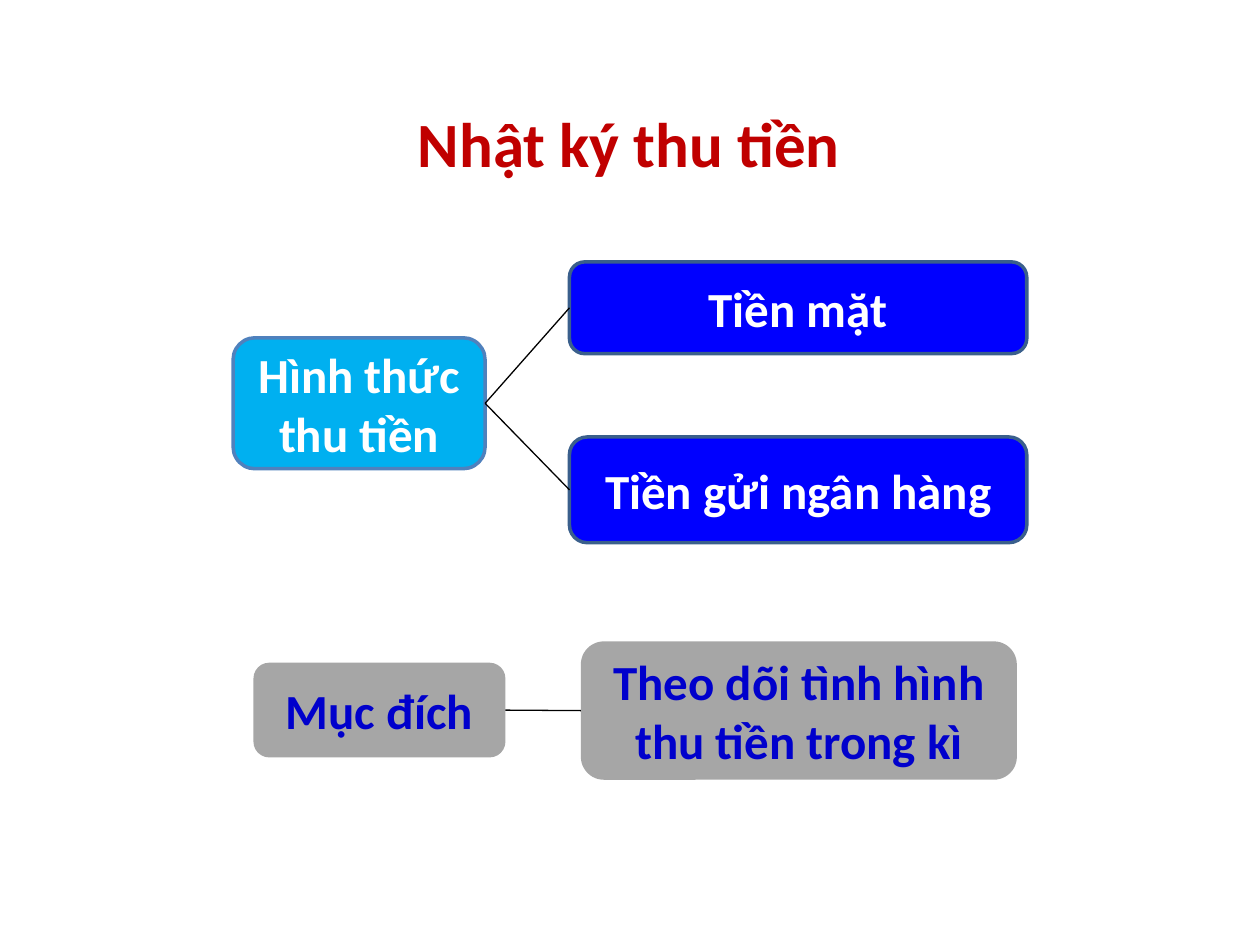
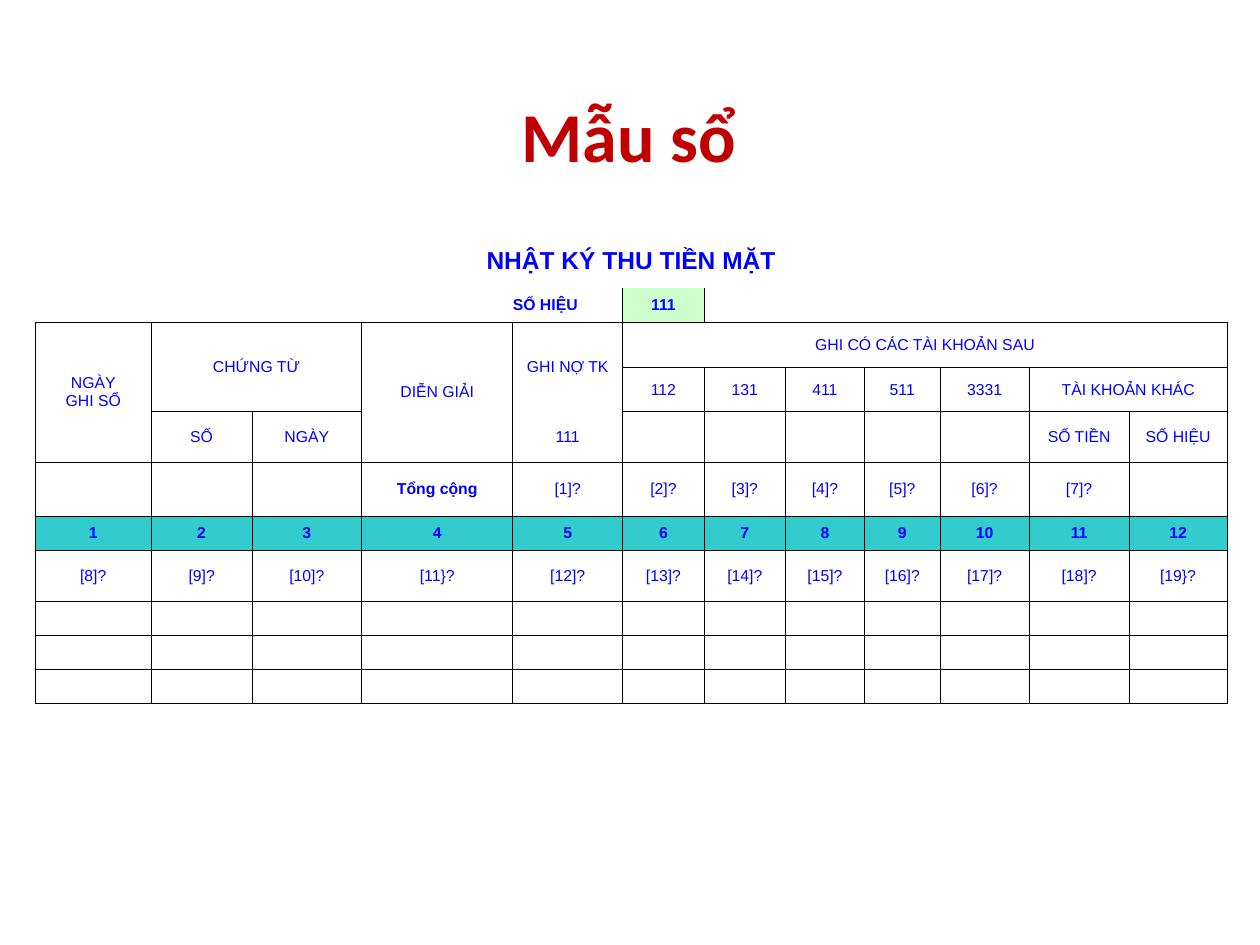
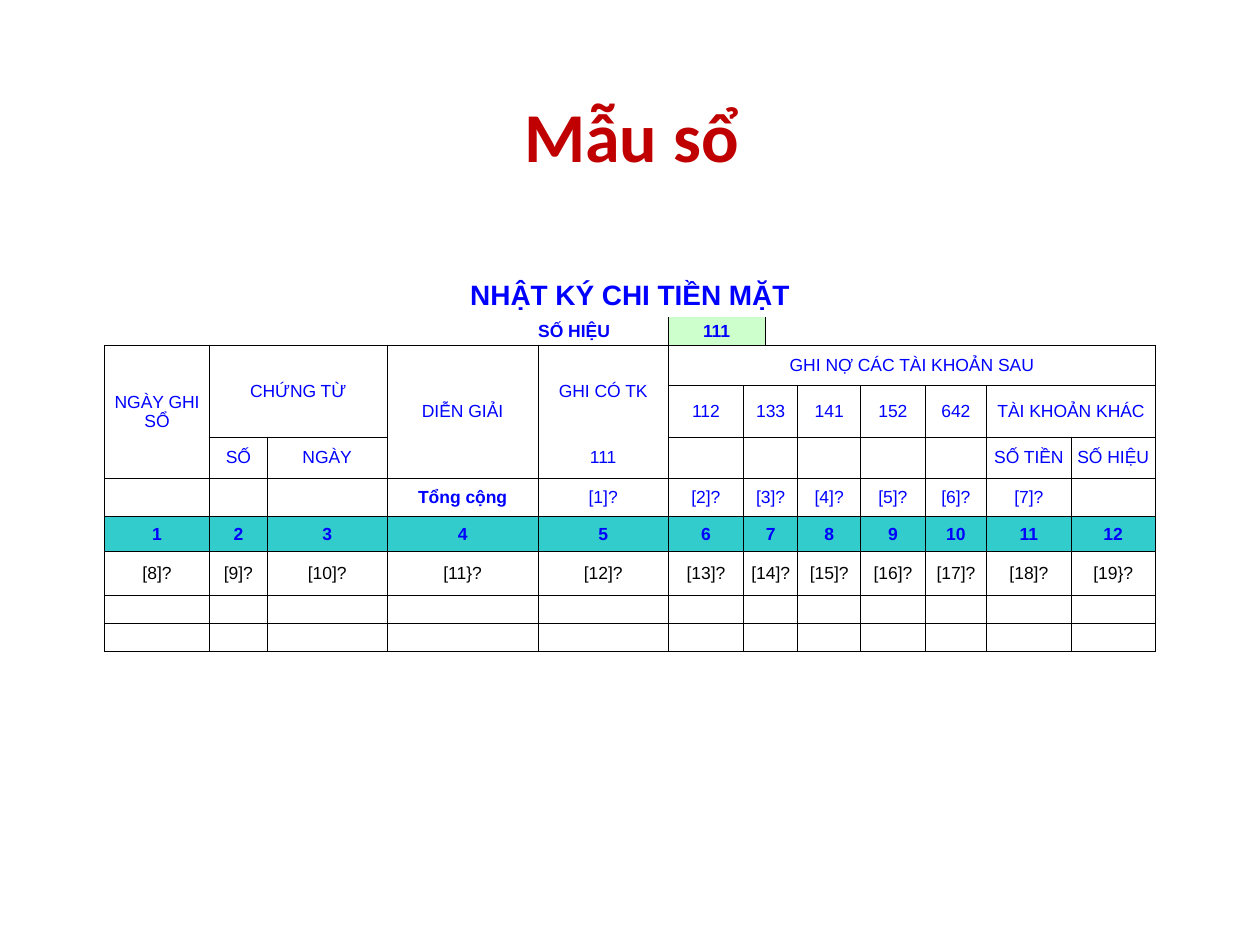
"""Build three slides about cash receipt and payment journals."""
from dataclasses import dataclass
from itertools import accumulate

from lxml import etree
from pptx import Presentation
from pptx.dml.color import RGBColor
from pptx.enum.shapes import MSO_CONNECTOR, MSO_SHAPE
from pptx.enum.text import MSO_ANCHOR, MSO_AUTO_SIZE, PP_ALIGN
from pptx.oxml.ns import qn
from pptx.util import Cm, Pt

ROUND = MSO_SHAPE.ROUNDED_RECTANGLE
STRAIGHT = MSO_CONNECTOR.STRAIGHT
MIDDLE = MSO_ANCHOR.MIDDLE
FIXED = MSO_AUTO_SIZE.NONE
CENTER, LEFT = PP_ALIGN.CENTER, PP_ALIGN.LEFT
LEFT_SITE, RIGHT_SITE = 1, 3


@dataclass(frozen=True)
class Theme:
    head: str = "Calibri"
    body: str = "Arial"
    red: str = "C00000"
    blue: str = "0000FF"
    navy: str = "0000CC"
    steel: str = "3A5F8C"
    sky: str = "00B0F0"
    edge: str = "4F81BD"
    gray: str = "A6A6A6"
    green: str = "CCFFCC"
    teal: str = "33CCCC"
    black: str = "000000"
    white: str = "FFFFFF"
    node: int = 28
    rule: float = 0.75
    frame: float = 2
    grid: float = 0.5


T = Theme()

NODES = {
    "form": ("Hình thức thu tiền", (4.7, 6.81, 5.08, 2.64), T.sky, T.edge, T.white),
    "cash": ("Tiền mặt", (11.48, 5.28, 9.22, 1.85), T.blue, T.steel, T.white),
    "bank": ("Tiền gửi ngân hàng", (11.48, 8.81, 9.22, 2.13), T.blue, T.steel, T.white),
    "aim": ("Mục đích", (5.11, 13.36, 5.08, 1.91), T.gray, None, T.navy),
    "goal": ("Theo dõi tình hình thu tiền trong kì", (11.71, 12.93, 8.79, 2.79),
             T.gray, None, T.navy),
}
LINKS = [("form", "cash"), ("form", "bank"), ("aim", "goal")]

BOOKS = [
    dict(
        name="NHẬT KÝ THU TIỀN MẶT", day="NGÀY\nGHI SỔ", own="GHI NỢ TK",
        side="GHI CÓ CÁC TÀI KHOẢN SAU", codes=["112", "131", "411", "511", "3331"],
        at=(0.71, 4.72), sizes=(14, 9), ask=T.blue, head=2.69, pairs=[],
        cols=[(2.34,), (2.03,), (2.21,), (3.05,), (2.21,), (1.65,),
              (1.63,), (1.6,), (1.52,), (1.8,), (2.01,), (1.98,)],
        rows=[1.09, 0.69, 0.91, 0.89, 1.02, 1.09, 0.69, 1.02, 0.69, 0.69, 0.69],
    ),
    dict(
        name="NHẬT KÝ CHI TIỀN MẶT", day="NGÀY GHI SỔ", own="GHI CÓ TK",
        side="GHI NỢ CÁC TÀI KHOẢN SAU", codes=["112", "133", "141", "152", "642"],
        at=(2.11, 5.51), sizes=(16, 10), ask=T.black, head=2.74, pairs=[5, 7, 11],
        cols=[(2.11,), (1.17,), (2.41,), (3.05,), (2.62,), (1.52,),
              (0.43, 0.66), (0.3, 0.97), (0.97, 0.33), (1.24,), (1.7,), (1.7,)],
        rows=[0.89, 0.56, 0.81, 1.04, 0.84, 0.76, 0.71, 0.89, 0.56, 0.56],
    ),
]
TOTALS = "[1]? [2]? [3]? [4]? [5]? [6]? [7]?".split()
ASKS = "[8]? [9]? [10]? [11}? [12]? [13]? [14]? [15]? [16]? [17]? [18]? [19}?".split()
SPANS = [(0, 0, 1, 12), (2, 0, 3, 1), (2, 1, 2, 2), (2, 3, 3, 1),
         (2, 4, 2, 1), (2, 5, 1, 7), (3, 10, 1, 2)]
TOP, CODE, HEAD, SUM, INDEX, ASK = 0, 1, 2, 5, 6, 7
OWN, FIRST = 4, 5


def write(frame, text, size, color, font=T.head, bold=True, align=CENTER, pitch=None):
    for num, line in enumerate(text.split("\n")):
        para = frame.add_paragraph() if num else frame.paragraphs[0]
        para.alignment = align
        para.line_spacing = pitch
        if not line:
            etree.SubElement(para._p, qn("a:endParaRPr"), sz=str(size * 100))
            continue
        run = para.add_run()
        run.text = line
        run.font.size, run.font.bold, run.font.name = Pt(size), bold, font
        run.font.color.rgb = RGBColor.from_string(color)


def paint(fill, color):
    if color:
        fill.solid()
        fill.fore_color.rgb = RGBColor.from_string(color)
    else:
        fill.background()


def start(deck, text, size, left, top):
    page = deck.slides.add_slide(deck.slide_layouts[5])
    head = page.shapes.title
    head.left, head.top, head.width, head.height = map(Cm, (left, top, 19.98, 2.49))
    frame = head.text_frame
    frame.auto_size, frame.vertical_anchor, frame.word_wrap = FIXED, MIDDLE, True
    frame.margin_left = frame.margin_right = Cm(0.1)
    frame.margin_top = frame.margin_bottom = Cm(0.1)
    write(frame, text, size, T.red, pitch=0.9)
    return page


def add_node(page, text, box, fill, edge, ink):
    node = page.shapes.add_shape(ROUND, *map(Cm, box))
    node.shadow.inherit = False
    paint(node.fill, fill)
    paint(node.line.fill, edge)
    if edge:
        node.line.width = Pt(T.frame)
    node.text_frame.word_wrap = True
    node.text_frame.vertical_anchor = MIDDLE
    write(node.text_frame, text, T.node, ink)
    return node


def link(page, tail, head):
    line = page.shapes.add_connector(STRAIGHT, 0, 0, 0, 0)
    line.begin_connect(tail, RIGHT_SITE)
    line.end_connect(head, LEFT_SITE)
    paint(line.line.fill, T.black)
    line.line.width = Pt(T.rule)
    etree.SubElement(line._element.spPr, qn("a:effectLst"))


def edge_cell(cell, sides):
    props = cell._tc.get_or_add_tcPr()
    for side in "LRTB":
        line = etree.SubElement(props, qn("a:ln" + side), w=str(Pt(T.grid)))
        if side in sides:
            fill = etree.SubElement(line, qn("a:solidFill"))
            etree.SubElement(fill, qn("a:srgbClr"), val=T.black)
        else:
            etree.SubElement(line, qn("a:noFill"))


def pick_sides(row, col, last):
    if row == TOP:
        return ""
    if row == CODE:
        left = "L" if FIRST <= col <= last + 1 else ""
        right = "R" if OWN <= col <= last else ""
        return "B" + left + right
    if col == OWN and row in (HEAD, HEAD + 1, HEAD + 2):
        return {HEAD: "LRT", HEAD + 1: "LR", HEAD + 2: "LRB"}[row]
    return "LRTB"


def fill_rows(book):
    rows = [
        [book["name"]],
        [""] * 4 + ["SỐ HIỆU", "111"],
        [book["day"], "CHỨNG TỪ", "", "DIỄN GIẢI", book["own"], book["side"]],
        [""] * 5 + book["codes"] + ["TÀI KHOẢN KHÁC"],
        ["", "SỐ", "NGÀY", "", "111"] + [""] * 5 + ["SỐ TIỀN", "SỐ HIỆU"],
        [""] * 3 + ["Tổng cộng"] + TOTALS,
        [str(num) for num in range(1, 13)],
        ASKS,
    ]
    return rows + [[]] * (len(book["rows"]) - len(rows))


def add_book(page, book):
    cols = [wide for group in book["cols"] for wide in group]
    marks = list(accumulate(map(len, book["cols"]), initial=0))
    table = page.shapes.add_table(
        len(book["rows"]), len(cols), *map(Cm, book["at"]),
        Cm(sum(cols)), Cm(sum(book["rows"]))).table
    table.first_row = table.horz_banding = False
    for part, wide in zip(table.columns, cols):
        part.width = Cm(wide)
    for part, high in zip(table.rows, book["rows"]):
        part.height = Cm(high)

    for row, col, down, across in SPANS:
        end = table.cell(row + down - 1, marks[col + across] - 1)
        table.cell(row, marks[col]).merge(end)
    for col in book["pairs"]:
        table.cell(CODE, col).merge(table.cell(CODE, col + 1))
    for col, group in enumerate(book["cols"]):
        if len(group) > 1:
            for row in range(HEAD + 1, len(book["rows"])):
                table.cell(row, marks[col]).merge(table.cell(row, marks[col + 1] - 1))

    last = FIRST + (FIRST in book["pairs"])
    big, small = book["sizes"]
    for row, words in enumerate(fill_rows(book)):
        texts = dict(zip(marks, words))
        for col in range(len(cols)):
            cell = table.cell(row, col)
            cell.margin_left = cell.margin_right = 0
            cell.margin_top = cell.margin_bottom = 0
            cell.vertical_anchor = MIDDLE
            edge_cell(cell, pick_sides(row, col, last))
            mark = row == CODE and FIRST <= col <= last
            paint(cell.fill, T.teal if row == INDEX else T.green if mark else None)
            write(cell.text_frame, texts.get(col, ""),
                  big if row == TOP else small,
                  book["ask"] if row == ASK else T.blue, font=T.body,
                  bold=row in (TOP, CODE, INDEX) or (row, col) == (SUM, 3),
                  align=LEFT if (row, col) == (CODE, OWN) else CENTER)


def main():
    deck = Presentation()
    deck.slide_width, deck.slide_height = Cm(25.4), Cm(19.05)
    page = start(deck, "Nhật ký thu tiền", 36, 2.69, 1.73)
    nodes = {key: add_node(page, *node) for key, node in NODES.items()}
    for tail, head in LINKS:
        link(page, nodes[tail], nodes[head])
    for book in BOOKS:
        add_book(start(deck, "Mẫu sổ", 40, book["head"], 1.57), book)
    deck.save("out.pptx")


if __name__ == "__main__":
    main()
